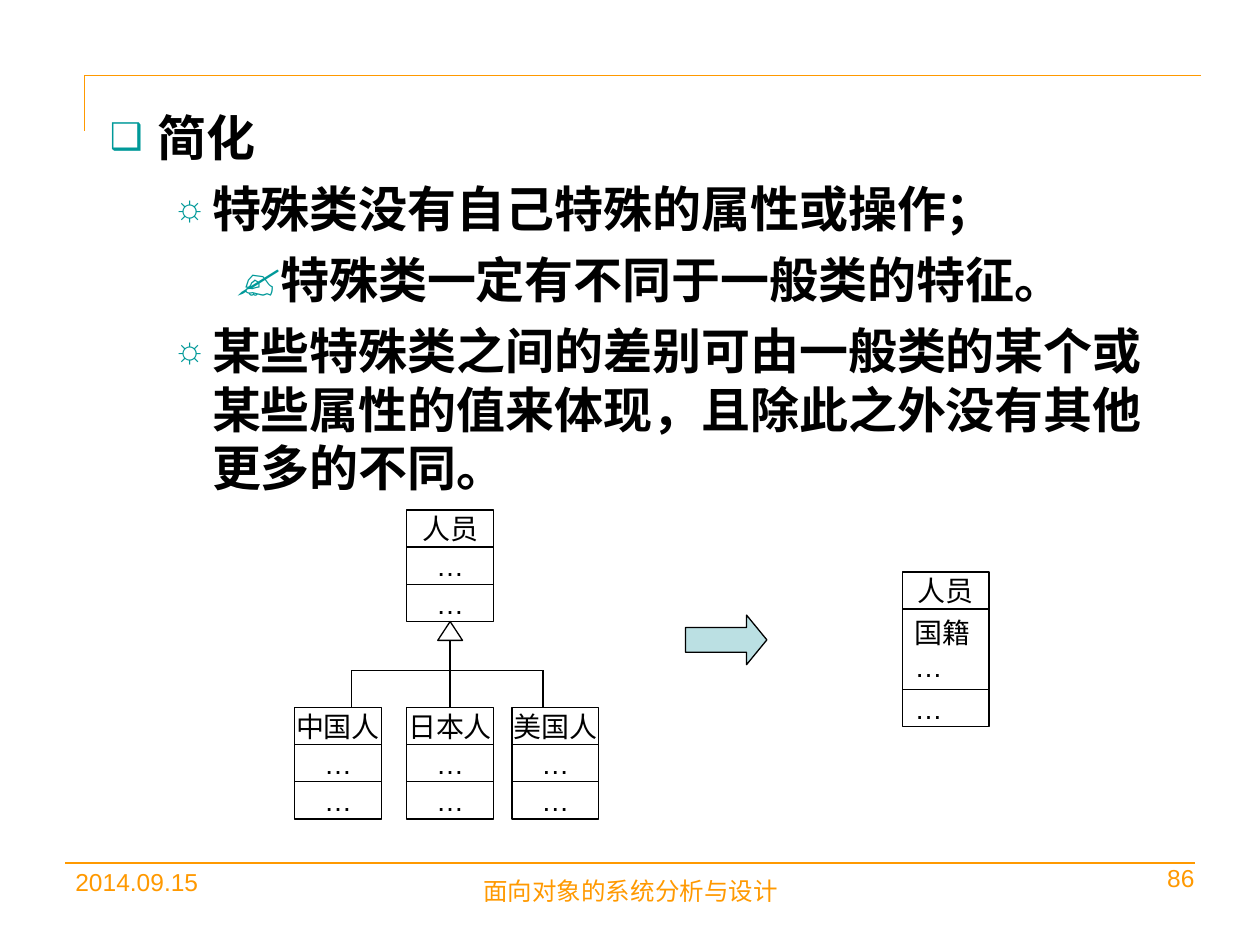
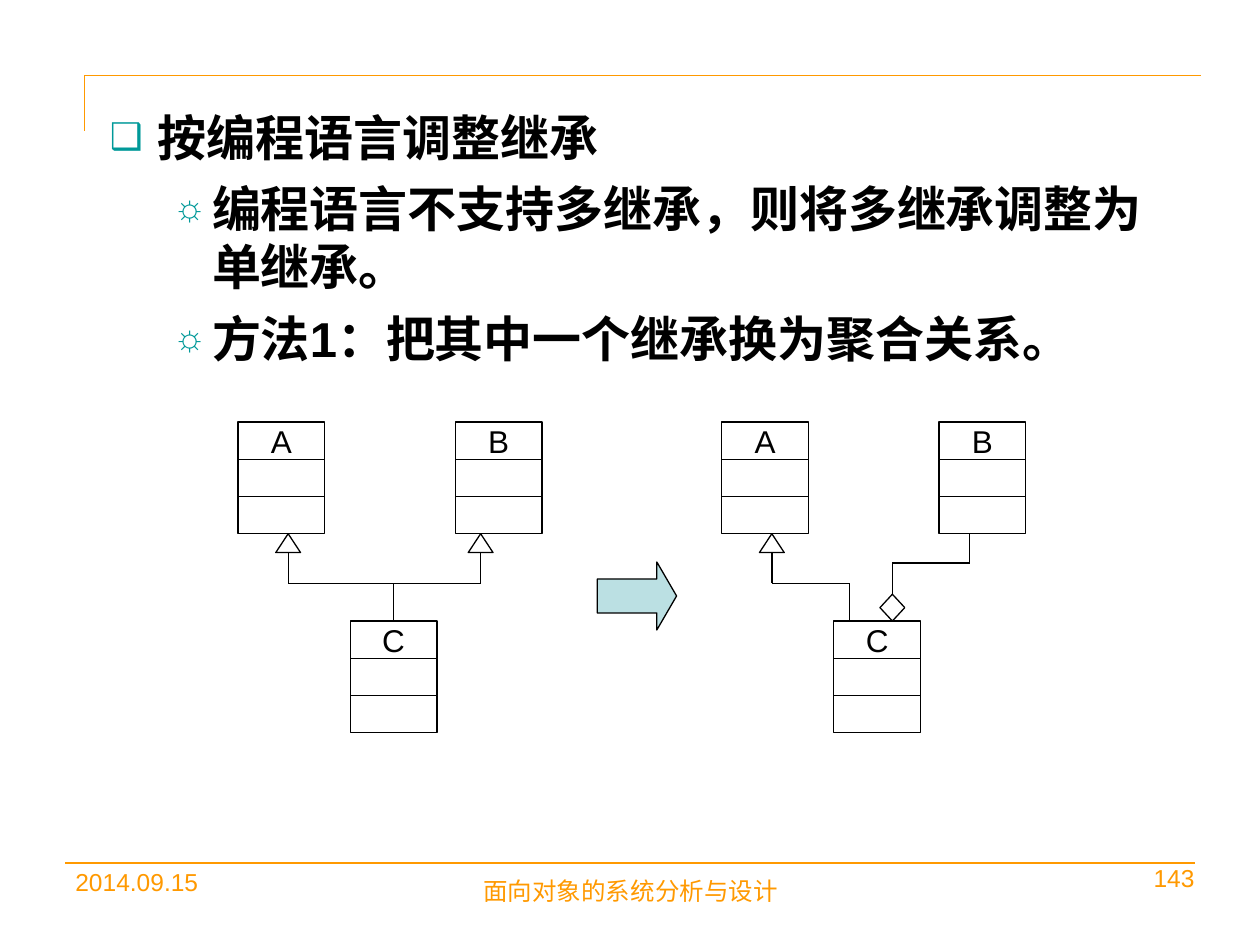
from itertools import pairwise

from lxml import etree
from pptx import Presentation
from pptx.dml.color import RGBColor
from pptx.enum.shapes import MSO_CONNECTOR as Connector, MSO_SHAPE as Preset
from pptx.enum.text import MSO_ANCHOR as Anchor, MSO_AUTO_SIZE as AutoSize, PP_ALIGN as Align
from pptx.oxml.ns import qn
from pptx.util import Cm, Pt

COLORS = {
    "frame": "FF9900",
    "bullet": "009999",
    "ink": "000000",
    "paper": "FFFFFF",
    "arrow": "BBE0E3",
}
FONT = "Arial"
LINE_WIDTH = Pt(0.75)

# Per level: bullet character, size in percent, left margin and hanging indent in cm
BULLETS = [("❑", 75, 0.97, 0.97), ("☼", 75, 2.06, 0.79), ("✍", 100, 3.18, 0.64)]

CLASS_WIDTH, ROW_HEIGHT = 1.75, 0.75
CLASS_HEIGHT = 3 * ROW_HEIGHT
TRIANGLE_WIDTH, TRIANGLE_HEIGHT = 0.5, 0.38
DIAMOND_WIDTH, DIAMOND_HEIGHT = 0.5, 0.54


def rgb(name):
    return RGBColor.from_string(COLORS[name])


def format_font(font, size, color="ink", bold=False):
    font.name, font.size, font.bold = FONT, Pt(size), bold
    font.color.rgb = rgb(color)


def draw_line(slide, start, end, color="ink"):
    line = slide.shapes.add_connector(
        Connector.STRAIGHT, *(Cm(value) for value in (*start, *end)))
    line.line.color.rgb = rgb(color)
    line.line.width = LINE_WIDTH
    etree.SubElement(line._element.spPr, qn("a:effectLst"))
    return line


def draw_path(slide, *points):
    """Join the points with straight lines."""
    for start, end in pairwise(points):
        draw_line(slide, start, end)


def draw_shape(slide, preset, left, top, width, height, fill=None):
    shape = slide.shapes.add_shape(preset, Cm(left), Cm(top), Cm(width), Cm(height))
    shape.shadow.inherit = False
    if fill:
        shape.fill.solid()
        shape.fill.fore_color.rgb = rgb(fill)
    else:
        shape.fill.background()
    shape.line.color.rgb = rgb("ink")
    shape.line.width = LINE_WIDTH
    return shape


def draw_arrow(slide, left, top, width, height, head):
    arrow = draw_shape(slide, Preset.RIGHT_ARROW, left, top, width, height, "arrow")
    arrow.adjustments[1] = head


def draw_triangle(slide, center, top):
    """Draw an inheritance triangle and return the middle of its base."""
    draw_shape(slide, Preset.ISOSCELES_TRIANGLE, center - TRIANGLE_WIDTH / 2, top,
               TRIANGLE_WIDTH, TRIANGLE_HEIGHT)
    return center, top + TRIANGLE_HEIGHT


def draw_class(slide, left, top, rows, size=16, row_align=Align.CENTER):
    """Stack name, attributes and operations; return the name box."""
    boxes = []
    for index, (text, height) in enumerate(rows):
        box = draw_shape(slide, Preset.RECTANGLE, left, top, CLASS_WIDTH, height)
        frame = box.text_frame
        frame.word_wrap = False
        frame.vertical_anchor = Anchor.MIDDLE
        frame.text = text
        for paragraph in frame.paragraphs:
            paragraph.alignment = row_align if index else Align.CENTER
            format_font(paragraph.font, size)
        boxes.append(box)
        top += height
    return boxes[0]


def even_rows(*texts):
    return [(text, ROW_HEIGHT) for text in texts]


def add_footer_text(slide, text, left, top, width, height, align):
    box = slide.shapes.add_textbox(Cm(left), Cm(top), Cm(width), Cm(height))
    box.text_frame.word_wrap = True
    box.text_frame.text = text
    paragraph = box.text_frame.paragraphs[0]
    paragraph.alignment = align
    format_font(paragraph.runs[0].font, 14, "frame")


def add_frame(slide, number):
    for start, end in [((24.21, 1.52), (1.7, 1.52)),
                       ((1.7, 2.64), (1.7, 1.52)),
                       ((24.08, 17.4), (1.32, 17.4))]:
        draw_line(slide, start, end, "frame")
    add_footer_text(slide, str(number), 22.2, 17.27, 2.13, 0.86, Align.RIGHT)
    add_footer_text(slide, "2014.09.15", 1.27, 17.35, 5.92, 1.32, Align.LEFT)
    add_footer_text(slide, "面向对象的系统分析与设计", 8.69, 17.53, 8.05, 1.14, Align.CENTER)


def set_bullet(paragraph, level):
    character, percent, margin, hanging = BULLETS[level]
    properties = paragraph._p.get_or_add_pPr()
    properties.set("marL", str(Cm(margin)))
    properties.set("indent", str(-Cm(hanging)))
    color = etree.SubElement(properties, qn("a:buClr"))
    etree.SubElement(color, qn("a:srgbClr"), val=COLORS["bullet"])
    etree.SubElement(properties, qn("a:buSzPct"), val=str(percent * 1000))
    etree.SubElement(properties, qn("a:buChar"), char=character)


def fill_body(body, items):
    body.left, body.top, body.width, body.height = Cm(1.96), Cm(2.03), Cm(22.17), Cm(14.99)
    frame = body.text_frame
    frame.auto_size = AutoSize.NONE
    frame.text = "\n".join(text for _, text in items)
    for index, (paragraph, (level, _)) in enumerate(zip(frame.paragraphs, items)):
        paragraph.level = level
        set_bullet(paragraph, level)
        paragraph.space_before = Pt(7 if index else 0)
        format_font(paragraph.runs[0].font, 28, bold=True)


def add_content_slide(presentation, number, items):
    slide = presentation.slides.add_slide(presentation.slide_layouts[1])
    title = slide.shapes.title._element
    title.getparent().remove(title)
    add_frame(slide, number)
    fill_body(slide.placeholders[1], items)
    return slide


def draw_person_tree(slide, left, top):
    """Draw the general class over its three special classes."""
    parent_left = left + 2.26
    center = parent_left + CLASS_WIDTH / 2
    child_top = top + 3.98
    bus = child_top - ROW_HEIGHT
    draw_class(slide, parent_left, top, even_rows("人员", "…", "…"))
    names = [
        draw_class(slide, child_left, child_top, even_rows(nationality, "…", "…"))
        for nationality, child_left in [
            ("中国人", left), ("日本人", parent_left), ("美国人", left + 4.38)]
    ]
    base = draw_triangle(slide, center, top + CLASS_HEIGHT)
    stem = draw_line(slide, (center, child_top), base)
    stem.begin_connect(names[1], 0)
    first, last = left + 1.14, left + 5.01
    draw_path(slide, (first, child_top), (first, bus), (last, bus), (last, child_top))


def draw_abc_classes(slide, left, top):
    """Draw A and B over C; return the name box of C."""
    for name, across, down in [("A", 0, 0), ("B", 4.38, 0), ("C", 2.26, 4.01)]:
        box = draw_class(slide, left + across, top + down, even_rows(name, "", ""), 18)
    return box


def draw_multiple_inheritance(slide, left, top):
    class_c = draw_abc_classes(slide, left, top)
    bus = top + 3.25
    first = draw_triangle(slide, left + 1.01, top + CLASS_HEIGHT)
    second = draw_triangle(slide, left + 4.89, top + CLASS_HEIGHT)
    draw_path(slide, first, (first[0], bus), (second[0], bus), second)
    center = left + 2.26 + CLASS_WIDTH / 2
    stem = draw_line(slide, (center, top + 4.01), (center, bus))
    stem.begin_connect(class_c, 0)


def draw_inheritance_with_aggregation(slide, left, top):
    draw_abc_classes(slide, left, top)
    bus, child_top = top + 3.25, top + 4.01
    base = draw_triangle(slide, left + 1.01, top + CLASS_HEIGHT)
    heir = left + 2.57
    draw_path(slide, base, (base[0], bus), (heir, bus), (heir, child_top))

    whole, part, elbow = left + 3.44, left + 5, top + 2.84
    diamond_top = child_top - DIAMOND_HEIGHT
    draw_shape(slide, Preset.DIAMOND, whole - DIAMOND_WIDTH / 2, diamond_top,
               DIAMOND_WIDTH, DIAMOND_HEIGHT, "paper")
    draw_path(slide, (whole, diamond_top), (whole, elbow), (part, elbow),
              (part, top + CLASS_HEIGHT))


def build_simplification(presentation):
    slide = add_content_slide(presentation, 86, [
        (0, "简化"),
        (1, "特殊类没有自己特殊的属性或操作；"),
        (2, "特殊类一定有不同于一般类的特征。"),
        (1, "某些特殊类之间的差别可由一般类的某个或某些属性的值来体现，"
            "且除此之外没有其他更多的不同。"),
    ])
    draw_person_tree(slide, 5.94, 10.28)
    draw_arrow(slide, 13.82, 12.4, 1.64, 1, 0.41)
    merged_rows = [("人员", ROW_HEIGHT), ("国籍\n…", 1.62), ("…", ROW_HEIGHT)]
    draw_class(slide, 18.19, 11.53, merged_rows, row_align=Align.LEFT)


def build_language_adjustment(presentation):
    slide = add_content_slide(presentation, 143, [
        (0, "按编程语言调整继承"),
        (1, "编程语言不支持多继承，则将多继承调整为单继承。"),
        (1, "方法1：把其中一个继承换为聚合关系。"),
    ])
    draw_multiple_inheritance(slide, 4.8, 8.51)
    draw_arrow(slide, 12.04, 11.33, 1.6, 1.37, 0.29)
    draw_inheritance_with_aggregation(slide, 14.55, 8.51)


def main():
    presentation = Presentation()
    presentation.slide_width, presentation.slide_height = Cm(25.4), Cm(19.05)
    build_simplification(presentation)
    build_language_adjustment(presentation)
    presentation.save("out.pptx")


if __name__ == "__main__":
    main()
